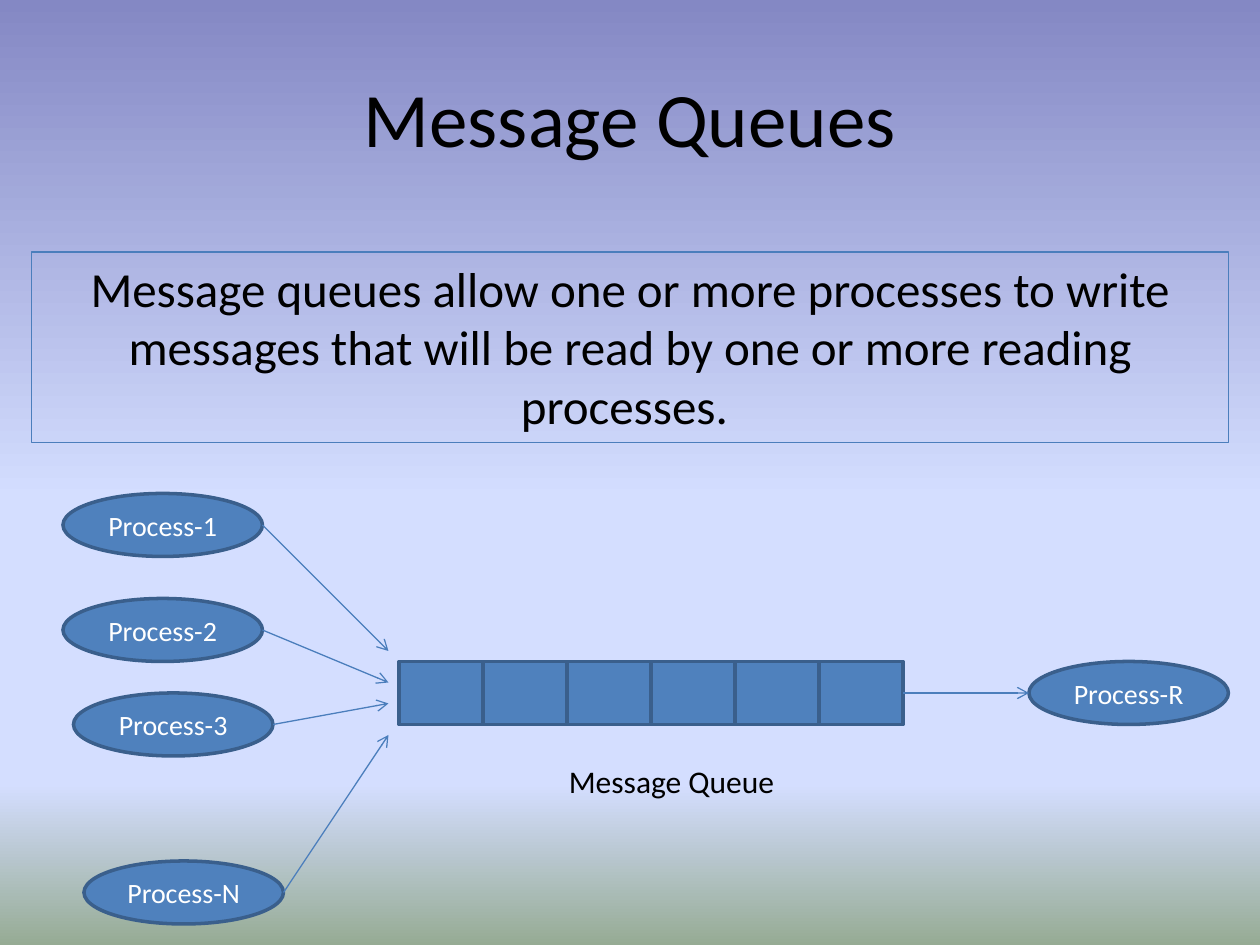
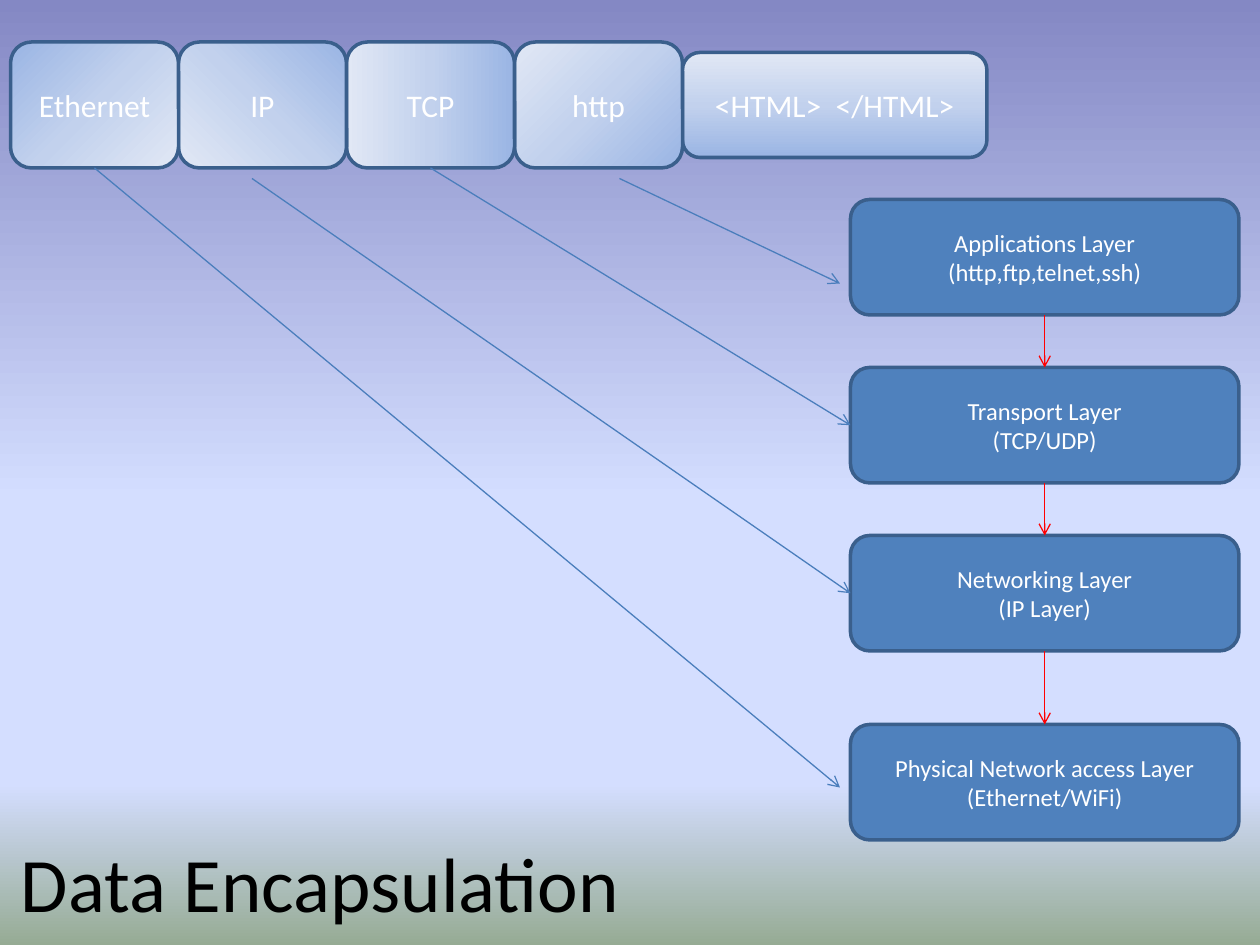
from lxml.etree import SubElement
from pptx import Presentation
from pptx.dml.color import RGBColor
from pptx.enum.shapes import MSO_CONNECTOR, MSO_SHAPE
from pptx.enum.text import MSO_ANCHOR, MSO_AUTO_SIZE, PP_ALIGN
from pptx.oxml.ns import qn
from pptx.util import Pt

HEX = {
    "fill": "4F81BD", "edge": "3A5F8C", "arrow": "4B7EBC",
    "down": "FF0000", "dark": "000000", "light": "FFFFFF",
}
SKY = [(0, "8488C4"), (53, "D4DEFF"), (83, "D4DEFF"), (100, "96AB94")]
PALE = [(0, "9AB5E4"), (50, "C2D1ED"), (100, "E1E8F5")]


def tint(name):
    return RGBColor.from_string(HEX[name])


def blend(item, fill, stops, angle):
    """Give a fill a linear gradient; the angle runs clockwise."""
    fill.gradient()
    fill.gradient_angle = (360 - angle) % 360
    group = item._element.find(".//" + qn("a:gsLst"))
    for stop in list(group):
        group.remove(stop)
    for place, shade in stops:
        stop = SubElement(group, qn("a:gs"), pos=str(place * 1000))
        SubElement(stop, qn("a:srgbClr"), val=shade)


def write(shape, text, size, color="light", align=PP_ALIGN.CENTER, **frame):
    """Set the text, one paragraph a line, and its format."""
    body = shape.text_frame
    body.text = text
    look = {"word_wrap": True, "vertical_anchor": MSO_ANCHOR.MIDDLE, **frame}
    for key, value in look.items():
        setattr(body, key, value)
    style = {"name": "Calibri", "size": Pt(size)}
    for para in body.paragraphs:
        para.alignment = align
        for run in para.runs:
            for key, value in style.items():
                setattr(run.font, key, value)
            run.font.color.rgb = tint(color)


def title(slide, text, left, top, width, height):
    head = slide.shapes.title
    place = {"left": left, "top": top, "width": width, "height": height}
    for key, value in place.items():
        setattr(head, key, Pt(value))
    write(head, text, 44, "dark")


def block(slide, kind, left, top, width, height, text="", size=16):
    """Draw a filled, outlined shape with centred text."""
    shape = slide.shapes.add_shape(
        kind, Pt(left), Pt(top), Pt(width), Pt(height))
    shape.shadow.inherit = False
    shape.fill.solid()
    shape.fill.fore_color.rgb = tint("fill")
    shape.line.color.rgb = tint("edge")
    shape.line.width = Pt(2)
    if text:
        write(shape, text, size)
    return shape


def arrow(slide, start, end, color="arrow"):
    link = slide.shapes.add_connector(
        MSO_CONNECTOR.STRAIGHT, *map(Pt, start + end))
    link.line.color.rgb = tint(color)
    link.line.width = Pt(0.75)
    props = link._element.spPr
    SubElement(props.find(qn("a:ln")), qn("a:tailEnd"), type="arrow")
    SubElement(props, qn("a:effectLst"))


def queues(slide):
    title(slide, "Message Queues", 36, 21.6, 648, 90)

    # Definition
    note = block(slide, MSO_SHAPE.RECTANGLE, 18, 144, 684, 108.75)
    note.fill.background()
    note.line.color.rgb = tint("arrow")
    note.line.width = Pt(0.75)
    write(note, "Message queues allow one or more processes to write messages "
          "that will be read by one or more reading processes.\u00a0",
          28, "dark", vertical_anchor=MSO_ANCHOR.TOP,
          auto_size=MSO_AUTO_SIZE.SHAPE_TO_FIT_TEXT)

    # Queue slots
    left, top, side, high = 228, 378, 48, 36
    for slot in range(6):
        block(slide, MSO_SHAPE.RECTANGLE, left + slot * side, top, side, high)
    right = left + 6 * side

    # Writers, each with the height its arrow ends at
    wide, mid = 114, high / 2
    writers = [("1", 36, 282, 372), ("2", 36, 342, 390),
               ("3", 42, 396, 402), ("N", 48, 492, 420)]
    for mark, x, y, goal in writers:
        block(slide, MSO_SHAPE.OVAL, x, y, wide, high, "Process-" + mark)
        arrow(slide, (x + wide, y + mid), (left - 6, goal))

    # Reader
    block(slide, MSO_SHAPE.OVAL, 588, top, wide, high, "Process-R")
    arrow(slide, (right, top + mid), (588, top + mid))

    # Queue label
    label = slide.shapes.add_textbox(Pt(318), Pt(432), Pt(133), Pt(29))
    write(label, "Message Queue", 18, "dark", PP_ALIGN.LEFT, word_wrap=False,
          vertical_anchor=MSO_ANCHOR.TOP,
          auto_size=MSO_AUTO_SIZE.SHAPE_TO_FIT_TEXT)


def layers(slide):
    title(slide, "Data Encapsulation", 0, 468, 366, 72)

    # Packet: payload behind, then headers from right to left
    kind, side = MSO_SHAPE.ROUNDED_RECTANGLE, 96
    load = block(slide, kind, 390, 30, 174, 60, "<HTML>  </HTML>", 18)
    blend(load, load.fill, PALE, 270)
    heads = [("Ethernet", 45), ("IP", 135), ("TCP", 180), ("http", 225)]
    for spot, (name, angle) in reversed(list(enumerate(heads))):
        head = block(slide, kind, 6 + spot * side, 24, side, 72, name, 18)
        blend(head, head.fill, PALE, angle)

    # Layer stack
    left, wide, high = 486, 222, 66
    stack = [("Applications Layer\n(http,ftp,telnet,ssh)", 114),
             ("Transport Layer\n(TCP/UDP)", 210),
             ("Networking Layer\n(IP Layer)", 306),
             ("Physical Network access Layer\n(Ethernet/WiFi)", 414)]
    for text, top in stack:
        block(slide, kind, left, top, wide, high, text, 14)
    mid = left + wide / 2
    for (_, above), (_, below) in zip(stack, stack[1:]):
        arrow(slide, (mid, above + high), (mid, below), "down")

    # Header to layer
    links = [((354, 102), (480, 162)), ((246, 96), (left, 243)),
             ((144, 102), (left, 339)), ((54, 96), (480, 450))]
    for start, end in links:
        arrow(slide, start, end)


def main():
    deck = Presentation()
    deck.slide_width, deck.slide_height = Pt(720), Pt(540)
    master = deck.slide_master
    blend(master, master.background.fill, SKY, 90)
    for draw in (queues, layers):
        draw(deck.slides.add_slide(deck.slide_layouts[5]))
    deck.save("out.pptx")


main()
